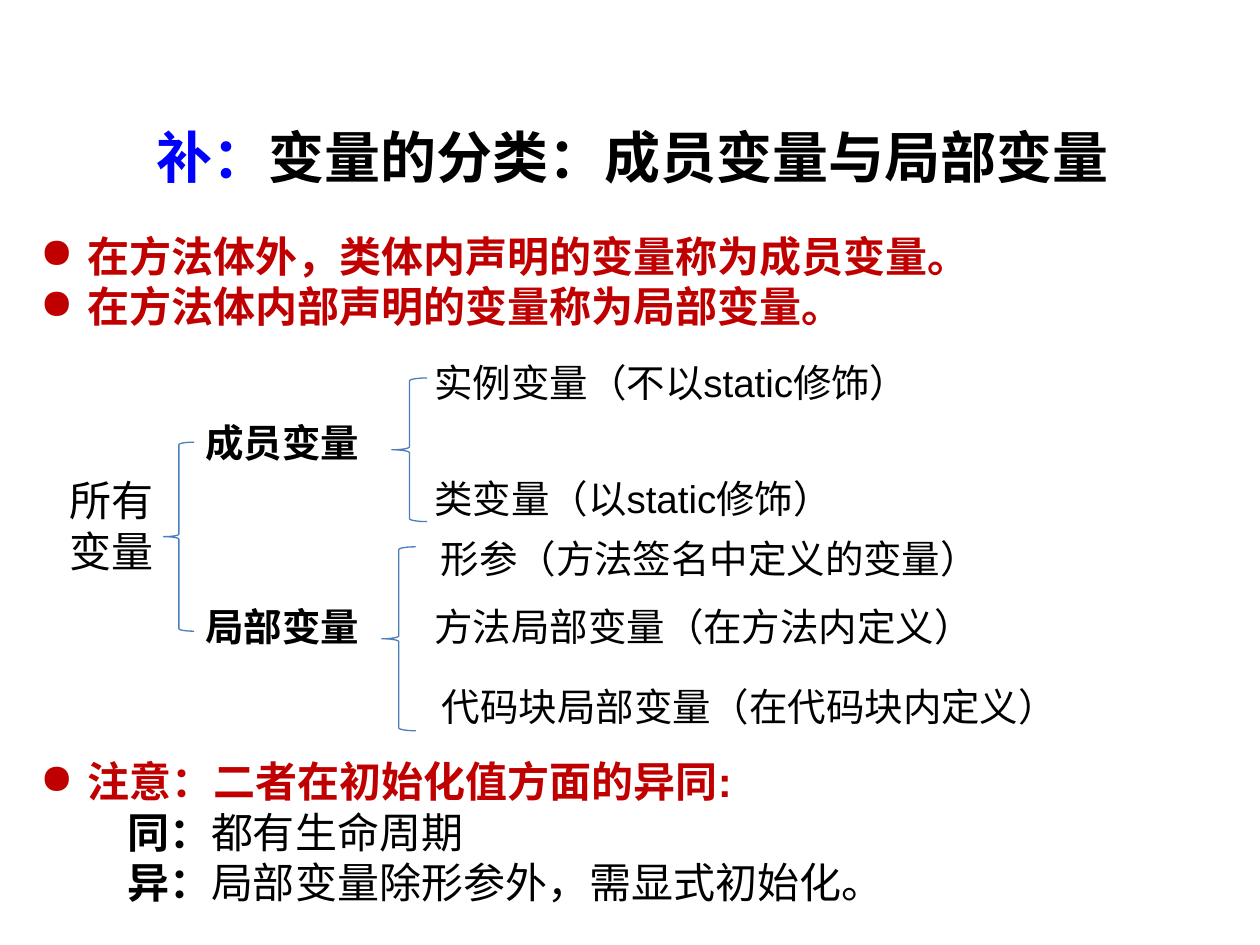
from dataclasses import dataclass

from lxml import etree
from pptx import Presentation
from pptx.dml.color import RGBColor
from pptx.enum.shapes import MSO_SHAPE
from pptx.oxml.ns import qn
from pptx.util import Inches, Pt

LEFT_BRACE = MSO_SHAPE.LEFT_BRACE
COLUMNS, ROWS = 100, 75
BLANK_LAYOUT = 6


@dataclass(frozen=True)
class Theme:
    font: str = "Arial"
    ink: str = "000000"
    accent: str = "0000FF"
    emphasis: str = "C00000"
    line: str = "4B7EBC"
    title: int = 32
    body: int = 24
    branch: int = 22
    line_width: float = 0.75
    bullet_indent: float = 0.38
    note_indent: float = 0.69


def add_span(para, text, *, font, size, color, bold=False):
    span = para.add_run()
    span.text = text
    span.font.name = font
    span.font.size = Pt(size)
    span.font.bold = bold
    span.font.color.rgb = RGBColor.from_string(color)


def indent_para(para, left, bullet=None):
    """Indent a paragraph; a bullet hangs in the indent."""
    properties = para._p.get_or_add_pPr()
    properties.set("marL", str(Inches(left)))
    if bullet:
        properties.set("indent", str(-Inches(left)))
        etree.SubElement(properties, qn("a:buChar")).set("char", bullet)


class SlideBuilder:
    """Draws on a page divided into COLUMNS by ROWS cells."""

    def __init__(self, deck, theme):
        self.theme = theme
        self.page = deck.slides.add_slide(deck.slide_layouts[BLANK_LAYOUT])
        self.cell_width = deck.slide_width / COLUMNS
        self.cell_height = deck.slide_height / ROWS

    def place(self, column, row, width, height):
        return (round(column * self.cell_width), round(row * self.cell_height),
                round(width * self.cell_width), round(height * self.cell_height))

    def text(self, area, paragraphs, size):
        """Each paragraph is a list of (text, colour, bold) spans."""
        frame = self.page.shapes.add_textbox(*self.place(*area)).text_frame
        frame.word_wrap = True
        for index, spans in enumerate(paragraphs):
            para = frame.add_paragraph() if index else frame.paragraphs[0]
            for text, color, bold in spans:
                add_span(para, text, font=self.theme.font, size=size,
                         color=color, bold=bold)
        return frame.paragraphs

    def label(self, area, *lines, size, bold=False):
        self.text(area, [[(line, self.theme.ink, bold)] for line in lines], size)

    def notes(self, area, points, details=()):
        """Bulleted points, then indented details as (term, explanation)."""
        theme = self.theme
        paragraphs = [[(point, theme.emphasis, True)] for point in points]
        paragraphs += [[(term, theme.ink, True), (explanation, theme.ink, False)]
                       for term, explanation in details]
        for index, para in enumerate(self.text(area, paragraphs, theme.body)):
            if index < len(points):
                indent_para(para, theme.bullet_indent, "●")
            else:
                indent_para(para, theme.note_indent)

    def brace(self, area):
        brace = self.page.shapes.add_shape(LEFT_BRACE, *self.place(*area))
        brace.shadow.inherit = False
        brace.fill.background()
        brace.line.color.rgb = RGBColor.from_string(self.theme.line)
        brace.line.width = Pt(self.theme.line_width)


def main():
    deck = Presentation()
    deck.slide_width, deck.slide_height = Inches(10), Inches(7.5)
    theme = Theme()
    slide = SlideBuilder(deck, theme)

    slide.text((11.4, 9.2, 80.3, 6.4),
               [[("补：", theme.accent, True),
                 ("变量的分类：成员变量与局部变量", theme.ink, True)]], theme.title)
    slide.notes((2.2, 17.8, 91.4, 9.1),
                ["在方法体外，类体内声明的变量称为成员变量。",
                 "在方法体内部声明的变量称为局部变量。"])
    slide.notes((2.2, 59.5, 91.4, 13.1),
                ["注意：二者在初始化值方面的异同:"],
                [("同：", "都有生命周期"),
                 ("异：", "局部变量除形参外，需显式初始化。")])

    slide.label((4.5, 37.2, 9.2, 9.1), "所有", "变量", size=theme.body)
    for name, row in (("成员变量", 32.8), ("局部变量", 47.4)):
        slide.label((15.3, row, 16.5, 4.7), name, size=theme.branch, bold=True)

    for area in ((13, 35.1, 2.4, 15), (31.1, 30, 2.8, 11.4), (30.3, 43.4, 2.7, 14.6)):
        slide.brace(area)

    leaves = (
        ("实例变量（不以static修饰）", 33.5, 28),
        ("类变量（以static修饰）", 33.5, 37.2),
        ("形参（方法签名中定义的变量）", 34, 42),
        ("方法局部变量（在方法内定义）", 33.5, 47.4),
        ("代码块局部变量（在代码块内定义）", 34.1, 53.7),
    )
    for name, column, row in leaves:
        slide.label((column, row, 53.7, 4.7), name, size=theme.branch)

    deck.save("out.pptx")


if __name__ == "__main__":
    main()
